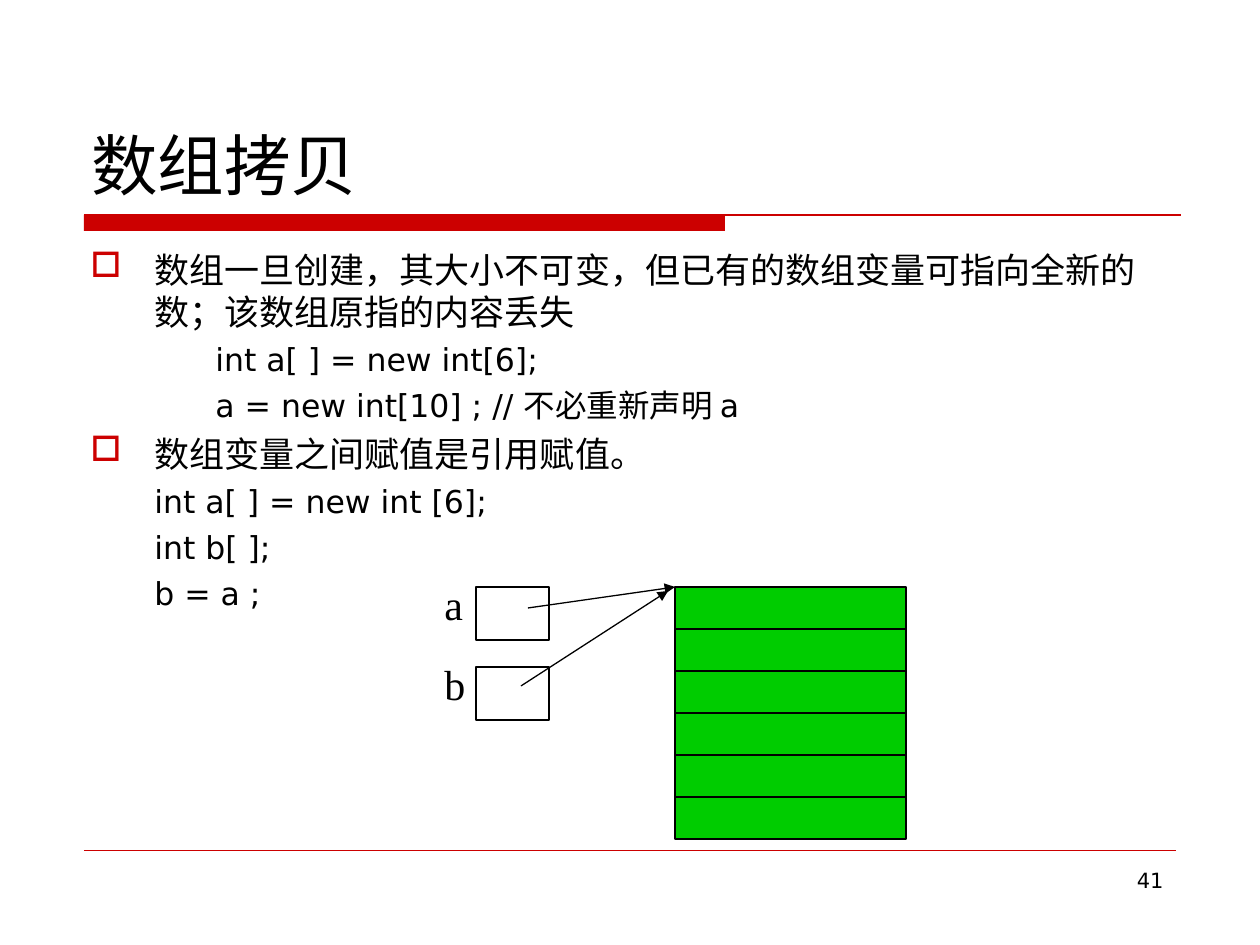
from dataclasses import dataclass

from lxml import etree
from pptx import Presentation
from pptx.dml.color import RGBColor
from pptx.enum.shapes import MSO_CONNECTOR, MSO_SHAPE
from pptx.enum.text import MSO_ANCHOR, PP_ALIGN
from pptx.oxml.ns import qn
from pptx.util import Pt

RECTANGLE = MSO_SHAPE.RECTANGLE
STRAIGHT = MSO_CONNECTOR.STRAIGHT
TOP, BOTTOM = MSO_ANCHOR.TOP, MSO_ANCHOR.BOTTOM
LEFT, RIGHT = PP_ALIGN.LEFT, PP_ALIGN.RIGHT
LEFT_SIDE, RIGHT_SIDE = 1, 3


@dataclass(frozen=True)
class Theme:
    ink: RGBColor = RGBColor(0x00, 0x00, 0x00)
    paper: RGBColor = RGBColor(0xFF, 0xFF, 0xFF)
    accent: RGBColor = RGBColor(0xCC, 0x00, 0x00)
    memory: RGBColor = RGBColor(0x00, 0xCC, 0x00)
    font: str = "DejaVu Sans"
    label_font: str = "Times New Roman"
    title: int = 38
    point: int = 20
    code: int = 18
    label: int = 24
    number: int = 12
    stroke: float = 0.75
    hairline: float = 0.25


THEME = Theme()

# Content: body lines are (kind, text)
TITLE = "数组拷贝"
BODY = [
    ("point", "数组一旦创建，其大小不可变，但已有的数组变量可指向全新的数；该数组原指的内容丢失"),
    ("nested", "int a[ ] = new int[6];"),
    ("nested", "a = new int[10] ; // 不必重新声明 a"),
    ("point", "数组变量之间赋值是引用赋值。"),
    ("code", "int a[ ] = new int [6];"),
    ("code", "int b[ ];"),
    ("code", "b = a ;"),
]
# Variables: name, box top, arrow start, arrow end (px)
VARIABLES = [
    ("a", 587, (528, 608), (675, 587)),
    ("b", 667, (521, 686), (668, 591)),
]
PAGE_NUMBER = "41"

# Line kinds: level, left margin px, first-line indent px, size, space before pt
LINE_STYLES = {
    "point": (0, 64, -64, THEME.point, 5),
    "nested": (1, 125, 0, THEME.code, 4.5),
    "code": (1, 64, 0, THEME.code, 4.5),
}

# Layout in px
SLIDE = (1260, 945)
ARRAY_X, ARRAY_Y, ARRAY_W = 675, 587, 231
CELLS, CELL_H = 6, 42
BOX_X, BOX_W, BOX_H = 476, 73, 53
LABEL_X, LABEL_W, LABEL_H, LABEL_RISE = 432, 44, 63, 15


def px(value):
    return round(value * 914400 / 126)


def add_text(slide, box, lines, size, font=THEME.font, anchor=TOP, align=LEFT, wrap=True):
    frame = slide.shapes.add_textbox(*map(px, box)).text_frame
    frame.word_wrap = wrap
    frame.vertical_anchor = anchor
    frame.text = "\n".join(lines)
    for paragraph in frame.paragraphs:
        paragraph.alignment = align
        paragraph.font.name = font
        paragraph.font.size = Pt(size)
        paragraph.font.color.rgb = THEME.ink
    return frame


def add_rect(slide, box, fill, line=None):
    rect = slide.shapes.add_shape(RECTANGLE, *map(px, box))
    rect.shadow.inherit = False
    rect.fill.solid()
    rect.fill.fore_color.rgb = fill
    if line is None:
        rect.line.fill.background()
    else:
        rect.line.color.rgb = line
        rect.line.width = Pt(THEME.stroke)
    return rect


def add_line(slide, start, end, color=THEME.ink, width=THEME.stroke, arrow=False):
    line = slide.shapes.add_connector(STRAIGHT, *map(px, (*start, *end)))
    line.line.color.rgb = color
    line.line.width = Pt(width)
    properties = line._element.spPr
    if arrow:
        etree.SubElement(properties.find(qn("a:ln")), qn("a:tailEnd"), type="triangle")
    etree.SubElement(properties, qn("a:effectLst"))
    return line


def style_body_line(paragraph, kind):
    level, margin, indent, size, before = LINE_STYLES[kind]
    paragraph.level = level
    paragraph.font.size = Pt(size)
    paragraph.space_before = Pt(before)
    properties = paragraph._p.get_or_add_pPr()
    properties.set("marL", str(px(margin)))
    properties.set("indent", str(px(indent)))
    if kind == "point":
        bullet = etree.Element(qn("a:buClr"))
        etree.SubElement(bullet, qn("a:srgbClr"), val=str(THEME.accent))
        mark = etree.Element(qn("a:buChar"), char="□")
        position = properties.index(properties.find(qn("a:defRPr")))
        properties[position:position] = [bullet, mark]


def main():
    deck = Presentation()
    deck.slide_width, deck.slide_height = map(px, SLIDE)
    slide = deck.slides.add_slide(deck.slide_layouts[6])

    # Title rule and footer rule
    add_rect(slide, (84, 215, 641, 16), THEME.accent)
    add_line(slide, (84, 215), (1181, 215), THEME.accent)
    add_line(slide, (84, 850), (1176, 850), THEME.accent, THEME.hairline)

    # Title and body
    add_text(slide, (79, 42, 1102, 168), [TITLE], THEME.title, anchor=BOTTOM)
    body = add_text(slide, (78, 242, 1102, 588), [text for _, text in BODY], THEME.point)
    for paragraph, (kind, _) in zip(body.paragraphs, BODY):
        style_body_line(paragraph, kind)

    # Array in memory
    array = add_rect(slide, (ARRAY_X, ARRAY_Y, ARRAY_W, CELLS * CELL_H), THEME.memory, THEME.ink)
    for row in range(1, CELLS):
        y = ARRAY_Y + row * CELL_H
        divider = add_line(slide, (ARRAY_X, y), (ARRAY_X + ARRAY_W, y))
        if row * 2 == CELLS:
            divider.begin_connect(array, LEFT_SIDE)
            divider.end_connect(array, RIGHT_SIDE)

    # Variables that refer to the array
    for name, top, start, end in VARIABLES:
        add_text(slide, (LABEL_X, top - LABEL_RISE, LABEL_W, LABEL_H), [name],
                 THEME.label, THEME.label_font, wrap=False)
        add_rect(slide, (BOX_X, top, BOX_W, BOX_H), THEME.paper, THEME.ink)
        add_line(slide, start, end, arrow=True)

    # Page number
    add_text(slide, (903, 861, 273, 66), [PAGE_NUMBER], THEME.number, align=RIGHT)

    deck.save("out.pptx")


if __name__ == "__main__":
    main()
